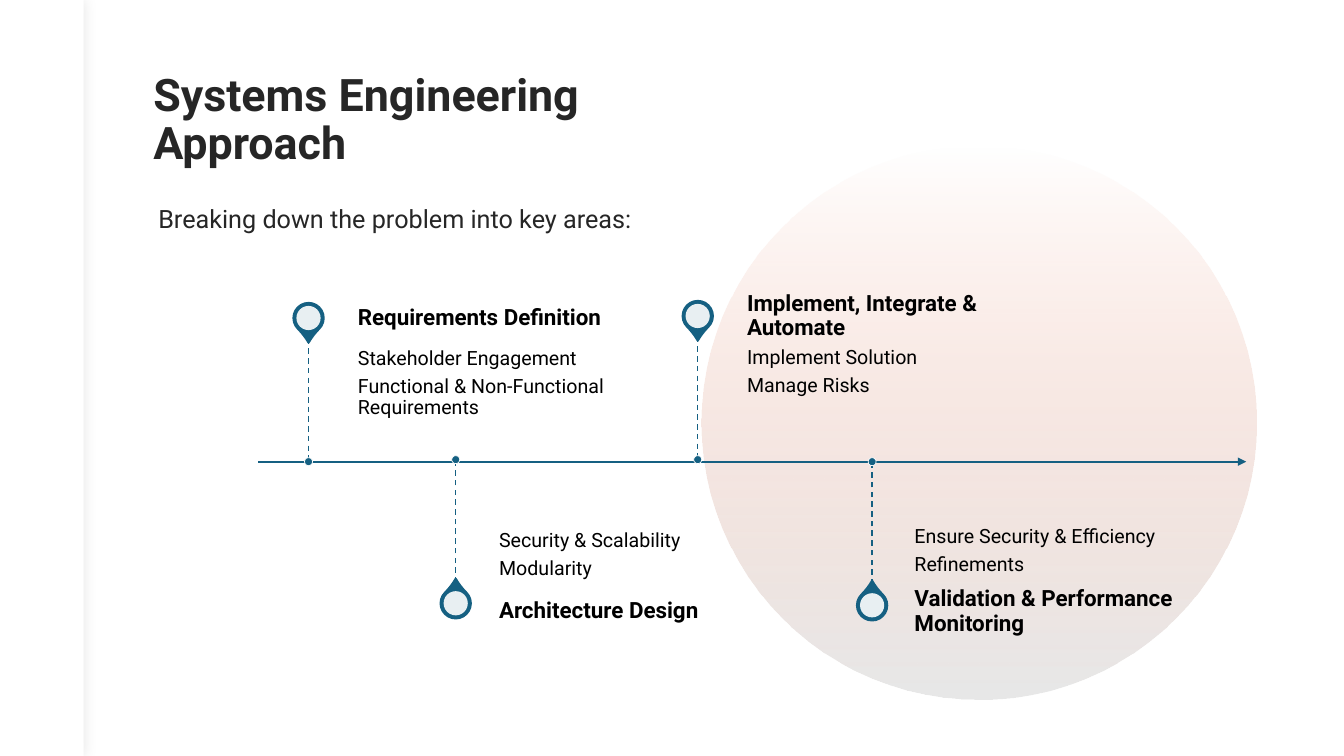
import pptx
import pptx.util
import pptx.dml.color
import pptx.enum.dml
import pptx.enum.shapes
import pptx.enum.text
import pptx.oxml
import pptx.oxml.ns

TITLE = "Systems Engineering Approach"
INTRO = "Breaking down the problem into key areas:"
MILESTONES = [
    dict(heading="Requirements Definition",
         details=["Stakeholder Engagement", "Functional & Non-Functional Requirements"],
         side=-1, stem=30.6, base=45.8, text=35.5, width=26.7, edge=33.6, middle=31.55),
    dict(heading="Architecture Design",
         details=["Security & Scalability", "Modularity"],
         side=1, stem=45.2, base=45.6, text=49.5, width=32.6, edge=58.5, middle=60.65),
    dict(heading="Implement, Integrate & Automate",
         details=["Implement Solution", "Manage Risks"],
         side=-1, stem=69.2, base=45.6, text=74.1, width=25.6, edge=33.5, middle=31.35),
    dict(heading="Validation & Performance Monitoring",
         details=["Ensure Security & Efficiency", "Refinements"],
         side=1, stem=86.5, base=45.8, text=90.7, width=32.6, edge=58.1, middle=60.7),
]

COLORS = dict(ink="262626", black="000000", teal="156082", white="FFFFFF",
              peach="F5B8A5", grey="E8E8E8")
FONT = "Roboto"
COLUMNS, ROWS = 133.3, 75
CELL = 0.1
AXIS_ROW, AXIS_START, AXIS_END = 45.8, 25.6, 123.6
STEM, PIN_REACH, PIN, PIN_EYE, DOT = 12.2, 14.25, 3, 2.4, 0.8
DETAILS_HEIGHT, HEADING_HEIGHT = 12.2, 4.3

Anchor = pptx.enum.text.MSO_ANCHOR
Preset = pptx.enum.shapes.MSO_SHAPE


def grid(*cells):
    return [pptx.util.Inches(cell * CELL) for cell in cells]


def rgb(name):
    return pptx.dml.color.RGBColor.from_string(COLORS[name])


def add_xml(parent, tag, **attributes):
    element = pptx.oxml.parse_xml(f"<a:{tag} {pptx.oxml.ns.nsdecls('a')}/>")
    for name, value in attributes.items():
        element.set(name, str(value))
    parent.append(element)
    return element


def set_alpha(element, percent):
    for color in element.iter(pptx.oxml.ns.qn("a:srgbClr")):
        add_xml(color, "alpha", val=percent * 1000)


def add_shape(shapes, preset, place, fill, line=None, weight=0):
    shape = shapes.add_shape(preset, *grid(*place))
    shape.shadow.inherit = False
    shape.fill.solid()
    shape.fill.fore_color.rgb = rgb(fill)
    if line:
        shape.line.color.rgb = rgb(line)
        shape.line.width = pptx.util.Pt(weight)
    else:
        shape.line.fill.background()
    return shape


def add_disc(shapes, x, y, size, fill, line=None, weight=0):
    place = (x - size / 2, y - size / 2, size, size)
    return add_shape(shapes, Preset.OVAL, place, fill, line, weight)


def add_line(shapes, start, end, weight):
    line = shapes.add_connector(pptx.enum.shapes.MSO_CONNECTOR.STRAIGHT, *grid(*start, *end))
    line.line.color.rgb = rgb("teal")
    line.line.width = pptx.util.Pt(weight)
    add_xml(line._element.spPr, "effectLst")
    return line


def write(box, lines, color, size, bold=False, anchor=Anchor.TOP,
          insets=(1, 0.5, 1, 0.5), spacing=0.9, after=None):
    frame = box.text_frame
    sides = ("margin_left", "margin_top", "margin_right", "margin_bottom")
    settings = dict(zip(sides, grid(*insets)), word_wrap=True, vertical_anchor=anchor,
                    auto_size=pptx.enum.text.MSO_AUTO_SIZE.NONE)
    for name, value in settings.items():
        setattr(frame, name, value)
    for index, words in enumerate(lines):
        para = frame.add_paragraph() if index else frame.paragraphs[0]
        para.alignment = pptx.enum.text.PP_ALIGN.LEFT
        para.line_spacing = spacing
        if after:
            add_xml(add_xml(para._p.get_or_add_pPr(), "spcAft"), "spcPct", val=after * 1000)
        span = para.add_run()
        span.text = words
        for name, value in dict(name=FONT, size=pptx.util.Pt(size), bold=bold).items():
            setattr(span.font, name, value)
        span.font.color.rgb = rgb(color)


def move(box, place):
    for name, value in zip(("left", "top", "width", "height"), grid(*place)):
        setattr(box, name, value)


def add_backdrop(page):
    circle = add_shape(page.shapes, Preset.OVAL, (69.6, 14.4, 55, 55), "grey")
    circle.fill.gradient()
    circle.fill.gradient_angle = 270
    stops = circle.fill.gradient_stops
    for stop, position, color in zip(stops, (0, 1), ("peach", "grey")):
        stop.position = position
        stop.color.rgb = rgb(color)
    set_alpha(next(circle._element.iter(pptx.oxml.ns.qn("a:gs"))), 0)

    sidebar = add_shape(page.shapes, Preset.RECTANGLE, (0, 0, 8.3, ROWS), "white")
    effects = sidebar._element.spPr.find(pptx.oxml.ns.qn("a:effectLst"))
    shadow = add_xml(effects, "outerShdw", blurRad=pptx.util.Pt(10), dist=0, dir=0,
                     algn="ctr", rotWithShape=0)
    add_xml(shadow, "srgbClr", val=COLORS["black"])
    set_alpha(shadow, 10)
    for index, shape in enumerate((circle, sidebar)):
        page.shapes._spTree.insert(2 + index, shape._element)


def add_milestone(shapes, item):
    side, x, base, edge = (item[name] for name in ("side", "stem", "base", "edge"))
    above = side < 0
    pin_row = base + side * PIN_REACH
    pin = add_shape(shapes, Preset.TEAR, (x - PIN / 2, pin_row - PIN / 2, PIN, PIN),
                    "teal", "teal", 1.5)
    pin.adjustments[0] = 1.15
    pin.rotation = 135 if above else 315
    eye = add_disc(shapes, x, pin_row, PIN_EYE, "white")
    set_alpha(eye._element.spPr, 90)

    details_top = edge if above else edge - DETAILS_HEIGHT
    details = shapes.add_textbox(*grid(item["text"], details_top, item["width"], DETAILS_HEIGHT))
    write(details, item["details"], "black", 14, after=35,
          anchor=Anchor.TOP if above else Anchor.BOTTOM,
          insets=(0, 1, 1, 1.5) if above else (0, 1.5, 0, 1))
    heading = shapes.add_textbox(*grid(item["text"], item["middle"] - HEADING_HEIGHT / 2,
                                       item["width"], HEADING_HEIGHT))
    write(heading, [item["heading"]], "black", 16, bold=True, anchor=Anchor.MIDDLE,
          insets=(0, 0, 1.1, 0), after=35)

    stem = add_line(shapes, (x, base + side * STEM), (x, base), 1)
    stem.line.dash_style = pptx.enum.dml.MSO_LINE.DASH
    add_disc(shapes, x, base, DOT, "teal", "white", 0.5)


def main():
    deck = pptx.Presentation()
    deck.slide_width, deck.slide_height = grid(COLUMNS, ROWS)
    page = deck.slides.add_slide(deck.slide_layouts[1])
    add_backdrop(page)

    title, body = page.placeholders
    move(title, (14.2, 6.7, 53.8, 15.8))
    write(title, [TITLE], "ink", 32, bold=True)
    move(body, (14.2, 19.4, 50, 43.3))
    write(body, [INTRO], "ink", 18, spacing=1.1)
    intro = body.text_frame.paragraphs[0]
    intro.space_before = pptx.util.Pt(10)
    layout = intro._p.get_or_add_pPr()
    layout.set("marL", str(grid(0.5)[0]))
    layout.set("indent", "0")
    add_xml(layout, "buNone")

    timeline = page.shapes.add_group_shape().shapes
    axis = add_line(timeline, (AXIS_START, AXIS_ROW), (AXIS_END, AXIS_ROW), 1.5)
    add_xml(axis.line._get_or_add_ln(), "tailEnd", type="triangle")
    for item in MILESTONES:
        add_milestone(timeline, item)
    deck.save("out.pptx")


if __name__ == "__main__":
    main()
